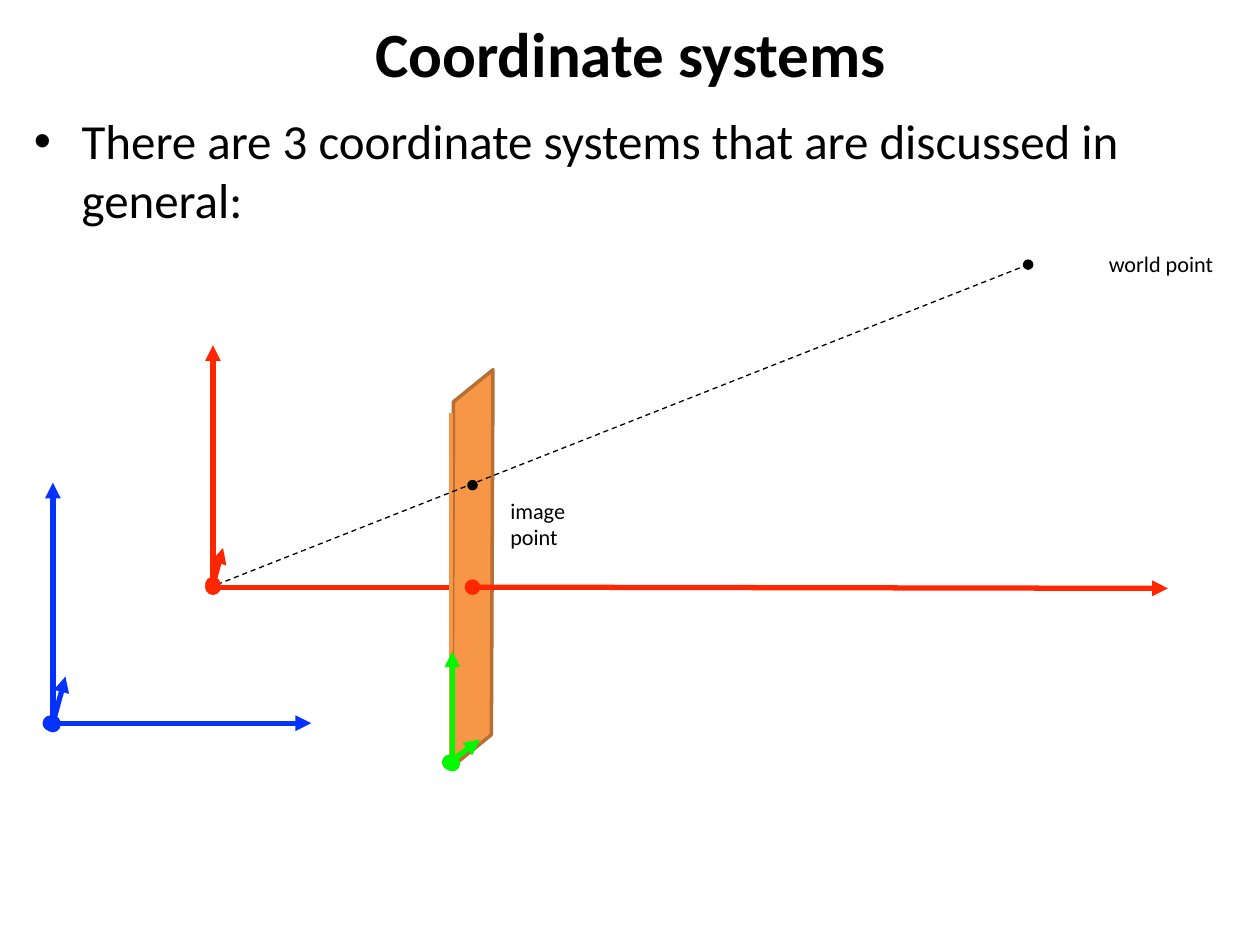
from lxml import etree
from pptx import Presentation
from pptx.dml.color import RGBColor
from pptx.enum.dml import MSO_LINE
from pptx.enum.shapes import MSO_CONNECTOR, MSO_SHAPE
from pptx.enum.text import MSO_ANCHOR, MSO_AUTO_SIZE, PP_ALIGN
from pptx.oxml.ns import qn
from pptx.util import Inches, Pt

STRAIGHT = MSO_CONNECTOR.STRAIGHT
PARALLELOGRAM = MSO_SHAPE.PARALLELOGRAM
DASH = MSO_LINE.DASH
MIDDLE = MSO_ANCHOR.MIDDLE
CENTER = PP_ALIGN.CENTER
FIT_SHAPE = MSO_AUTO_SIZE.SHAPE_TO_FIT_TEXT

FONT = "Calibri"
BLACK = "000000"
CAMERA_RED = "FF2600"
WORLD_BLUE = "0433FF"
IMAGE_GREEN = "00F900"
PLANE_ORANGE = "F79646"
PLANE_EDGE = "B76F34"


def rgb(color):
    return RGBColor.from_string(color)


def add_text(slide, box, text, size, bold=False):
    frame = slide.shapes.add_textbox(*map(Inches, box)).text_frame
    frame.word_wrap = True
    paragraph = frame.paragraphs[0]
    paragraph.text = text
    paragraph.font.name = FONT
    paragraph.font.size = Pt(size)
    paragraph.font.bold = bold
    paragraph.font.color.rgb = rgb(BLACK)
    return frame


def add_title(slide, text):
    frame = add_text(slide, (0.17, 0, 9.67, 0.83), text, 36, bold=True)
    frame.vertical_anchor = MIDDLE
    frame.paragraphs[0].alignment = CENTER


def add_bullet(slide, text):
    frame = add_text(slide, (0.17, 0.83, 9.67, 6.25), text, 28)
    properties = frame.paragraphs[0]._p.get_or_add_pPr()
    properties.set("marL", str(Inches(0.38)))
    properties.set("indent", str(Inches(-0.38)))
    etree.SubElement(properties, qn("a:buFont")).set("typeface", "Arial")
    etree.SubElement(properties, qn("a:buChar")).set("char", "•")


def add_label(slide, box, text):
    frame = add_text(slide, box, text, 12.7)
    frame.word_wrap = False
    frame.auto_size = FIT_SHAPE
    frame.vertical_anchor = MIDDLE
    frame.margin_left = frame.margin_right = Inches(0.04)
    frame.margin_top = frame.margin_bottom = Inches(0.04)


def add_line(slide, start, end, color, width, head=None, tail=None, dash=None):
    connector = slide.shapes.add_connector(STRAIGHT, *map(Inches, start + end))
    connector.line.color.rgb = rgb(color)
    connector.line.width = Pt(width)
    if dash is not None:
        connector.line.dash_style = dash
    outline = connector.line._get_or_add_ln()
    for tag, kind in (("a:headEnd", head), ("a:tailEnd", tail)):
        if kind:
            etree.SubElement(outline, qn(tag)).set("type", kind)
    etree.SubElement(connector._element.spPr, qn("a:effectLst"))


def add_axis(slide, start, end, color):
    add_line(slide, start, end, color, 3, head="oval", tail="triangle")


def add_point(slide, x, y):
    add_line(slide, (x - 0.02, y), (x, y), BLACK, 2, tail="oval")


def add_image_plane(slide):
    plane = slide.shapes.add_shape(
        PARALLELOGRAM, Inches(2.63), Inches(3.39), Inches(2.24), Inches(2.24))
    plane.adjustments[0] = 0.82
    plane.rotation = 320.9
    plane.shadow.inherit = False
    plane.fill.solid()
    plane.fill.fore_color.rgb = rgb(PLANE_ORANGE)
    plane.line.color.rgb = rgb(PLANE_EDGE)
    plane.line.width = Pt(2)


def main():
    presentation = Presentation()
    presentation.slide_width = Inches(10)
    presentation.slide_height = Inches(7.5)
    slide = presentation.slides.add_slide(presentation.slide_layouts[6])

    camera_center = (1.67, 4.66)
    world_point = (8.16, 2.1)
    image_point = (3.75, 3.85)

    add_image_plane(slide)
    add_title(slide, "Coordinate systems")
    add_bullet(slide, "There are 3 coordinate systems that are discussed in general:")
    add_line(slide, camera_center, (3.56, 4.66), CAMERA_RED, 3)
    add_line(slide, (3.58, 6.06), (3.58, 3.28), PLANE_ORANGE, 2)
    add_point(slide, *world_point)
    add_label(slide, (8.76, 1.95, 0.91, 0.29), "world point")
    add_axis(slide, (1.69, 4.66), (1.69, 2.74), CAMERA_RED)
    add_axis(slide, (0.4, 5.74), (2.47, 5.74), WORLD_BLUE)
    add_axis(slide, (0.42, 5.75), (0.42, 3.83), WORLD_BLUE)
    add_axis(slide, (3.57, 6.05), (3.81, 5.87), IMAGE_GREEN)
    add_axis(slide, (3.59, 6.06), (3.59, 5.17), IMAGE_GREEN)
    add_point(slide, *image_point)
    add_label(slide, (4.01, 4.01, 0.93, 0.29), "image point")
    add_line(slide, world_point, camera_center, BLACK, 0.75, dash=DASH)
    add_axis(slide, (1.69, 4.64), (1.77, 4.35), CAMERA_RED)
    add_axis(slide, (0.42, 5.74), (0.52, 5.37), WORLD_BLUE)
    add_axis(slide, (3.75, 4.66), (9.27, 4.67), CAMERA_RED)

    presentation.save("out.pptx")


if __name__ == "__main__":
    main()
